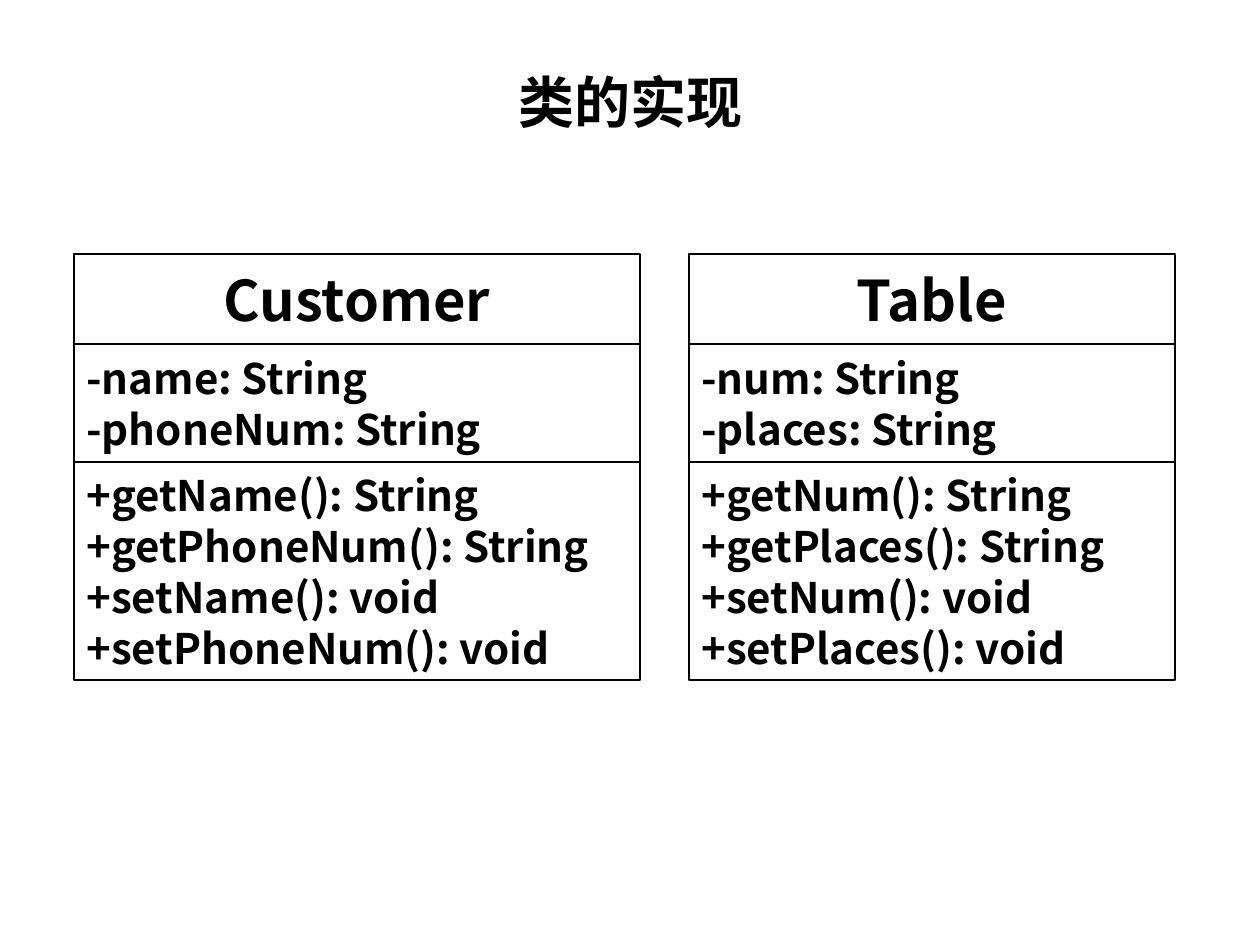
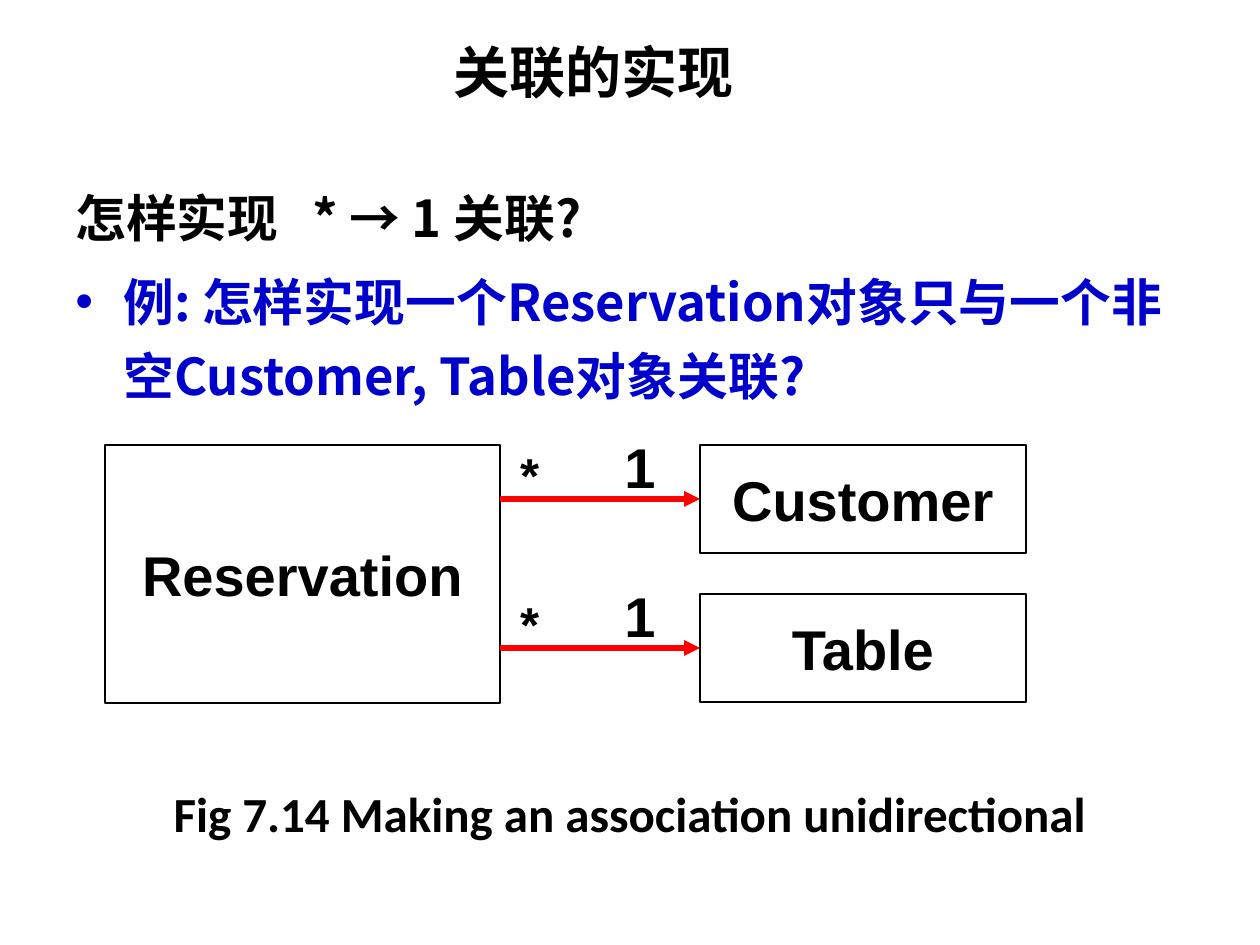
from lxml import etree
from pptx import Presentation
from pptx import util as u
from pptx.dml.color import RGBColor
from pptx.enum import shapes, text
from pptx.oxml import ns

# Shared look
SCALE = 914400 / 126
BLACK = RGBColor(0, 0, 0)
WHITE = RGBColor(255, 255, 255)
BLUE = RGBColor(0, 0, 0xCC)
RED = RGBColor(255, 0, 0)
CJK, SANS, CAPTION_FONT = "Noto Sans CJK SC", "Arial", "Calibri"
CENTER, LEFT = text.PP_ALIGN.CENTER, text.PP_ALIGN.LEFT

# Content of slide 1: left, width, name, attributes, operations
CLASSES_TITLE = ("类的实现", (402, 58, 457, 87))
CLASSES = [
    (74, 566, "Customer",
     ["-name: String", "-phoneNum: String"],
     ["+getName(): String", "+getPhoneNum(): String",
      "+setName(): void", "+setPhoneNum(): void"]),
    (689, 486, "Table",
     ["-num: String", "-places: String"],
     ["+getNum(): String", "+getPlaces(): String",
      "+setNum(): void", "+setPlaces(): void"]),
]
CLASS_TOP = 254
ROW_HEIGHTS = (90, 118, 218)

# Content of slide 2
LINK_TITLE = ("关联的实现", (291, 37, 606, 68))
QUESTION = "怎样实现\t* → 1 关联?"
EXAMPLE = "例: 怎样实现一个Reservation对象只与一个非空Customer, Table对象关联?"
QUESTION_BOX = (63, 168, 1134, 248)
SOURCE = ("Reservation", (105, 445, 395, 258))
TARGETS = ["Customer", "Table"]
TARGET_BOX = (700, 445, 326, 108)
TARGET_STEP = 149
CAPTION = ("Fig 7.14 Making an association unidirectional", (74, 777, 1111, 72))


def px(length):
    return u.Emu(round(length * SCALE))


def place(box):
    return [px(length) for length in box]


def write(frame, lines, size, font, align=LEFT, spacing=None, color=BLACK):
    frame.word_wrap = True
    frame.text = "\n".join(lines)
    for para in frame.paragraphs:
        para.alignment = align
        para.line_spacing = spacing
        for span in para.runs:
            span.font.size = u.Pt(size)
            span.font.bold = True
            span.font.name = font
            span.font.color.rgb = color
            east_asian = etree.SubElement(span.font._element, ns.qn("a:ea"))
            east_asian.set("typeface", font)


def add_page(deck, title, box):
    page = deck.slides.add_slide(deck.slide_layouts[5])
    holder = page.shapes.title
    holder.left, holder.top, holder.width, holder.height = place(box)
    write(holder.text_frame, [title], 32, CJK, CENTER)
    holder.text_frame.auto_size = text.MSO_AUTO_SIZE.NONE
    holder.text_frame.vertical_anchor = text.MSO_ANCHOR.MIDDLE
    return page


def add_box(page, box, lines, size, font, align=CENTER, spacing=None):
    shape = page.shapes.add_shape(shapes.MSO_SHAPE.RECTANGLE, *place(box))
    shape.shadow.inherit = False
    shape.fill.solid()
    shape.fill.fore_color.rgb = WHITE
    shape.line.color.rgb = BLACK
    shape.line.width = u.Pt(0.75)
    shape.text_frame.vertical_anchor = text.MSO_ANCHOR.MIDDLE
    write(shape.text_frame, lines, size, font, align, spacing)
    return shape


def add_label(page, box, label, size, font, align=LEFT, inset=True):
    frame = page.shapes.add_textbox(*place(box)).text_frame
    write(frame, [label], size, font, align)
    if not inset:
        frame.margin_left = frame.margin_right = 0
        frame.margin_top = frame.margin_bottom = 0


def add_arrow(page, start_x, y, target):
    end_x = TARGET_BOX[0]
    arrow = page.shapes.add_connector(
        shapes.MSO_CONNECTOR.STRAIGHT, *place((start_x, y, end_x, y)))
    arrow.end_connect(target, 1)
    arrow.line.color.rgb = RED
    arrow.line.width = u.Pt(3)
    head = etree.SubElement(arrow.line._get_or_add_ln(), ns.qn("a:tailEnd"))
    head.set("type", "triangle")
    etree.SubElement(arrow._element.spPr, ns.qn("a:effectLst"))


def add_question(page):
    frame = page.shapes.add_textbox(*place(QUESTION_BOX)).text_frame
    write(frame, [QUESTION, EXAMPLE], 29, CJK, spacing=u.Pt(42))
    question, example = frame.paragraphs
    for para in (question, example):
        props = para._p.get_or_add_pPr()
        props.set("marL", str(px(48)))
        props.set("indent", str(-px(48)))
    # Tab stop before the multiplicity, bullet before the example
    tabs = etree.SubElement(question._p.pPr, ns.qn("a:tabLst"))
    etree.SubElement(tabs, ns.qn("a:tab"), pos=str(px(240)), algn="l")
    example.space_before = u.Pt(6)
    etree.SubElement(example._p.pPr, ns.qn("a:buFont"), typeface=SANS)
    etree.SubElement(example._p.pPr, ns.qn("a:buChar"), char="•")
    for span in example.runs:
        span.font.color.rgb = BLUE


def build_classes(deck):
    page = add_page(deck, *CLASSES_TITLE)
    for left, width, name, attributes, operations in CLASSES:
        top = CLASS_TOP
        for lines, height in zip(([name], attributes, operations), ROW_HEIGHTS):
            box = (left, top, width, height)
            if lines == [name]:
                add_box(page, box, lines, 32, CJK)
            else:
                add_box(page, box, lines, 24, CJK, LEFT, u.Pt(29))
            top += height


def build_association(deck):
    page = add_page(deck, *LINK_TITLE)
    add_question(page)
    source, source_box = SOURCE
    add_box(page, source_box, [source], 32, SANS)
    left, first_top, width, height = TARGET_BOX
    for index, name in enumerate(TARGETS):
        top = first_top + index * TARGET_STEP
        target = add_box(page, (left, top, width, height), [name], 32, SANS)
        add_arrow(page, source_box[0] + source_box[2], top + height // 2, target)
        add_label(page, (612, top - 19, 76, 79), "1", 32, SANS)
        add_label(page, (520, top, 30, 59), "*", 28, SANS, inset=False)
    caption, caption_box = CAPTION
    add_label(page, caption_box, caption, 28, CAPTION_FONT, CENTER)


def main():
    deck = Presentation()
    deck.slide_width, deck.slide_height = place((1260, 945))
    build_classes(deck)
    build_association(deck)
    deck.save("out.pptx")


if __name__ == "__main__":
    main()
